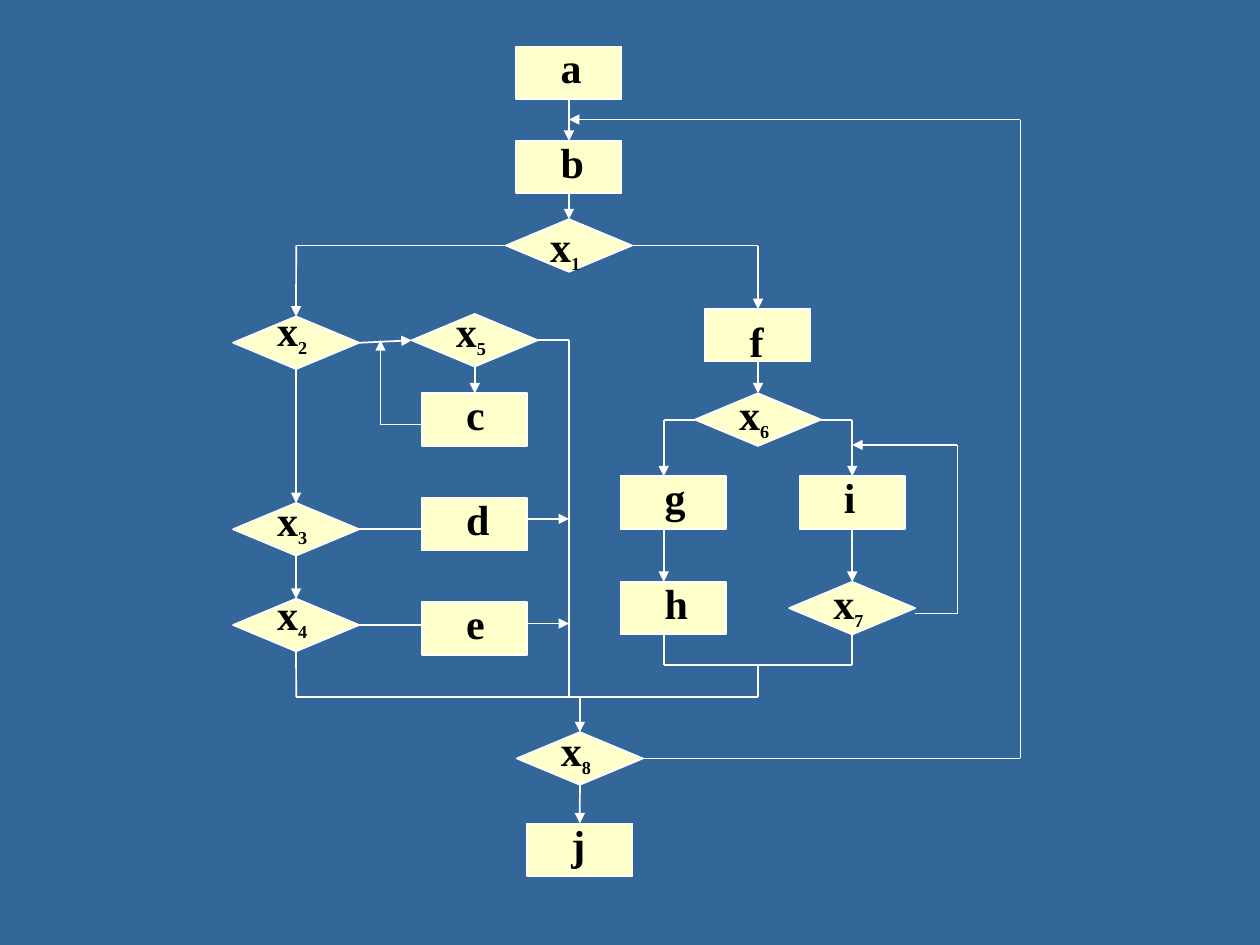
from itertools import pairwise

from lxml.etree import SubElement as Sub
from pptx import Presentation
from pptx.dml.color import RGBColor
from pptx.enum.shapes import MSO_CONNECTOR as Conn, MSO_SHAPE as Kind
from pptx.enum.text import MSO_AUTO_SIZE as Auto
from pptx.oxml.ns import qn
from pptx.util import Cm, Pt

BLUE, CREAM, WHITE, BLACK = "336699", "FFFFCC", "FFFFFF", "000000"
TOP, LEFT, DOWN, RIGHT = range(4)

# Column centres and the routes between them, in cm
COL1, COL2, MAIN, EXIT = 5.97, 9.57, 11.47, 11.69
COLG, COLF, COLI = 13.57, 15.28, 17.18
GLINE, LOOP, BACK = 13.38, 19.3, 20.57
JOIN, MERGE = 14.05, 13.41

# Name: centre x, centre y, lift of the label above the shape's top
STEPS = {
    "a": (MAIN, 1.47, 0.22), "b": (MAIN, 3.37, 0.22),
    "c": (COL2, 8.46, 0.22), "d": (COL2, 10.57, 0.22),
    "e": (COL2, 12.67, 0.22), "f": (COLF, 6.76, 0),
    "g": (COLG, 10.13, 0.22), "h": (COLG, 12.26, 0.22),
    "i": (COLI, 10.13, 0.22), "j": (EXIT, 17.13, 0.22),
}
TESTS = {
    "x1": (MAIN, 4.95, 0.1), "x2": (COL1, 6.91, 0.36),
    "x3": (COL1, 10.67, 0.3), "x4": (COL1, 12.6, 0.33),
    "x5": (COL2, 6.86, 0.3), "x6": (COLF, 8.46, 0.22),
    "x7": (COLI, 12.26, 0.22), "x8": (EXIT, 15.29, 0.28),
}

# Each route: its stops, as (node, side) or (x, y), and whether it has an arrow
ROUTES = [
    ([("a", DOWN), ("b", TOP)], True),
    ([("b", DOWN), ("x1", TOP)], True),
    ([("x1", RIGHT), (COLF, 4.95), ("f", TOP)], True),
    ([("x1", LEFT), (COL1, 4.95), ("x2", TOP)], True),
    # Left branch
    ([("x2", DOWN), ("x3", TOP)], True),
    ([("x3", DOWN), ("x4", TOP)], True),
    ([("x4", DOWN), (COL1, JOIN), (COLF, JOIN)], False),
    ([("x3", RIGHT), (8.51, 10.67)], False),
    ([("x4", RIGHT), (8.51, 12.6)], False),
    ([("x2", RIGHT), ("x5", LEFT)], True),
    ([("x5", RIGHT), (MAIN, 6.86), (MAIN, JOIN)], False),
    ([("x5", DOWN), ("c", TOP)], True),
    ([(8.51, 8.56), (7.67, 8.56), (7.67, 6.86)], True),
    ([(10.63, 10.46), (MAIN, 10.46)], True),
    ([(10.63, 12.57), (MAIN, 12.57)], True),
    # Right branch
    ([("f", DOWN), ("x6", TOP)], True),
    ([("x6", LEFT), (GLINE, 8.46), (GLINE, 9.6)], True),
    ([("x6", RIGHT), (COLI, 8.46), ("i", TOP)], True),
    ([(GLINE, 10.66), (GLINE, 11.73)], True),
    ([("i", DOWN), ("x7", TOP)], True),
    ([(18.45, 12.37), (LOOP, 12.37), (LOOP, 8.97), (COLI, 8.97)], True),
    ([(GLINE, 12.79), (GLINE, MERGE), (COLI, MERGE), ("x7", DOWN)], False),
    ([(COLF, MERGE), (COLF, JOIN)], False),
    # Exit and return
    ([(EXIT, JOIN), ("x8", TOP)], True),
    ([("x8", DOWN), ("j", TOP)], True),
    ([("x8", RIGHT), (BACK, 15.29), (BACK, 2.41), (MAIN, 2.41)], True),
]


def rgb(hue):
    return RGBColor.from_string(hue)


def label(slide, name, x, y):
    wide, high = (1.06, 1.27) if len(name) == 1 else (1.69, 1.35)
    box = slide.shapes.add_textbox(Cm(x), Cm(y), Cm(wide), Cm(high))
    frame = box.text_frame
    frame.word_wrap = True
    frame.auto_size = Auto.SHAPE_TO_FIT_TEXT
    para = frame.paragraphs[0]
    font = para.font
    font.name, font.size, font.bold = "Times New Roman", Pt(24), True
    font.color.rgb = rgb(BLACK)
    para.add_run().text = name[0]
    if name[1:]:
        low = para.add_run()
        low.text = name[1:]
        low.font.size = Pt(18)
        low._r.get_or_add_rPr().set("baseline", "-25000")


def node(slide, kind, name, wide, x, y, lift):
    high = 1.06
    left, top = x - wide / 2, y - high / 2
    shape = slide.shapes.add_shape(kind, Cm(left), Cm(top), Cm(wide), Cm(high))
    shape.shadow.inherit = False
    shape.fill.solid()
    shape.fill.fore_color.rgb = rgb(CREAM)
    shape.line.color.rgb = rgb(WHITE)
    shape.line.width = Pt(1)
    label(slide, name, left + 0.64, top - lift)
    return shape


def line(slide, start, end, nodes, arrow):
    spots = [Cm(0) if stop[0] in nodes else Cm(v)
             for stop in (start, end) for v in stop]
    link = slide.shapes.add_connector(Conn.STRAIGHT, *spots)
    for stop, glue in ((start, link.begin_connect), (end, link.end_connect)):
        if stop[0] in nodes:
            glue(nodes[stop[0]], stop[1])
    link.line.color.rgb = rgb(WHITE)
    link.line.width = Pt(1)
    if arrow:
        Sub(link.line._get_or_add_ln(), qn("a:tailEnd"), type="triangle")
    Sub(link._element.spPr, qn("a:effectLst"))


def route(slide, stops, nodes, arrow):
    for start, end in pairwise(stops):
        line(slide, start, end, nodes, arrow and end is stops[-1])


def main():
    deck = Presentation()
    deck.slide_width, deck.slide_height = Cm(25.4), Cm(19.05)
    slide = deck.slides.add_slide(deck.slide_layouts[6])
    slide.background.fill.solid()
    slide.background.fill.fore_color.rgb = rgb(BLUE)

    # Steps and tests
    nodes = {}
    for kind, wide, group in ((Kind.RECTANGLE, 2.12, STEPS),
                              (Kind.FLOWCHART_DECISION, 2.54, TESTS)):
        for name, place in group.items():
            nodes[name] = node(slide, kind, name, wide, *place)

    # Flow lines
    for stops, arrow in ROUTES:
        route(slide, stops, nodes, arrow)

    deck.save("out.pptx")


if __name__ == "__main__":
    main()
